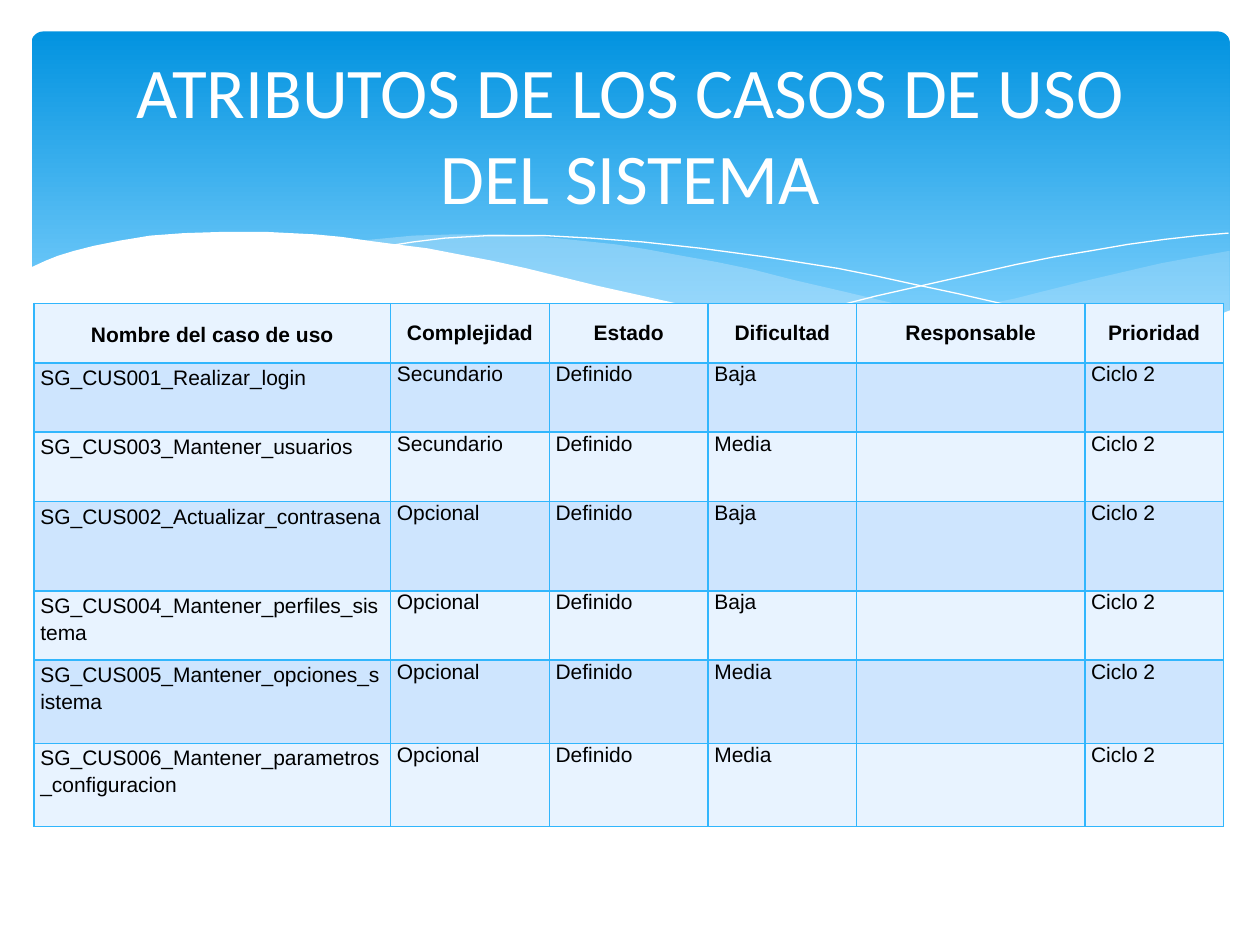
from lxml.etree import SubElement
from pptx import Presentation
from pptx.dml.color import RGBColor
from pptx.enum.shapes import MSO_SHAPE
from pptx.enum.text import MSO_ANCHOR, MSO_AUTO_SIZE, PP_ALIGN
from pptx.oxml.ns import qn
from pptx.util import Inches, Pt

WHITE = RGBColor(0xFF, 0xFF, 0xFF)
BLACK = RGBColor(0x00, 0x00, 0x00)
DEEP_BLUE = RGBColor(0x02, 0x93, 0xE0)
SKY_BLUE = RGBColor(0x83, 0xD3, 0xFE)
PALE_BLUE = RGBColor(0xC6, 0xE7, 0xFC)
BORDER_BLUE = RGBColor(0x31, 0xB6, 0xFD)
LIGHT_ROW = RGBColor(0xE8, 0xF3, 0xFF)
DARK_ROW = RGBColor(0xCE, 0xE5, 0xFE)

# Wave outlines, in inches
RIGHT_WAVE = [
    (9.76, 1.99), (9.48, 2.04), (9.21, 2.09), (8.91, 2.16), (8.61, 2.23),
    (8.05, 2.37), (7.53, 2.48), (7.06, 2.57), (6.61, 2.65), (6.91, 2.69),
    (7.18, 2.72), (7.45, 2.75), (7.69, 2.77), (8.03, 2.78), (8.35, 2.77),
    (8.63, 2.75), (8.89, 2.72), (9.13, 2.67), (9.35, 2.61), (9.63, 2.52),
    (9.76, 2.47)]
MIDDLE_WAVE = [
    (8.93, 2.73), (8.66, 2.69), (8.37, 2.65), (8.07, 2.6), (7.75, 2.54),
    (7.41, 2.48), (7.06, 2.4), (6.68, 2.31), (6.29, 2.22), (5.98, 2.14),
    (5.69, 2.08), (5.41, 2.03), (5.14, 1.98), (4.89, 1.94), (4.42, 1.89),
    (3.99, 1.86), (3.61, 1.86), (3.28, 1.87), (2.86, 1.91), (3.23, 1.96),
    (3.62, 2.03), (4.04, 2.11), (4.49, 2.22), (4.91, 2.32), (5.3, 2.4),
    (5.66, 2.48), (6.01, 2.55), (6.34, 2.61), (6.65, 2.66), (6.95, 2.7),
    (7.22, 2.74), (7.48, 2.76), (7.85, 2.78), (8.28, 2.78), (8.57, 2.77)]
FALLING_LINE = [
    (3.09, 1.95), (3.28, 1.92), (3.53, 1.89), (3.87, 1.87), (4.33, 1.87),
    (4.69, 1.89), (5.1, 1.92), (5.56, 1.97), (6.08, 2.04), (6.65, 2.13),
    (6.95, 2.19), (7.27, 2.26), (7.6, 2.33), (7.95, 2.41), (8.31, 2.51),
    (8.68, 2.61), (9.07, 2.72)]
RISING_LINE = [
    (6.13, 2.57), (6.52, 2.46), (6.95, 2.35), (7.48, 2.23), (8.06, 2.1),
    (8.36, 2.04), (8.66, 1.99), (8.95, 1.94), (9.24, 1.9), (9.51, 1.87),
    (9.75, 1.85)]
WHITE_WAVE = [
    (9.77, 2.46), (9.59, 2.53), (9.4, 2.59), (9.2, 2.65), (8.99, 2.69),
    (8.75, 2.73), (8.5, 2.75), (8.09, 2.77), (7.78, 2.76), (7.44, 2.74),
    (7.08, 2.7), (6.68, 2.65), (6.26, 2.58), (5.79, 2.5), (5.29, 2.39),
    (4.75, 2.27), (4.18, 2.13), (3.91, 2.07), (3.65, 2.02), (3.39, 1.97),
    (3.15, 1.94), (2.92, 1.91), (2.71, 1.88), (2.5, 1.86), (2.11, 1.84),
    (1.77, 1.84), (1.46, 1.85), (1.19, 1.87), (0.95, 1.91), (0.75, 1.95),
    (0.59, 1.99), (0.46, 2.03), (0.36, 2.07), (0.23, 2.13), (0.23, 3.29),
    (9.77, 3.29)]

TITLE = "ATRIBUTOS DE LOS CASOS DE USO DEL SISTEMA"
COLUMN_WIDTHS = [2.83, 1.26, 1.26, 1.18, 1.81, 1.1]
ROW_HEIGHTS = [0.47, 0.55, 0.55, 0.71, 0.55, 0.66, 0.66]
HEADER = ["Nombre del caso de uso", "Complejidad", "Estado", "Dificultad",
          "Responsable", "Prioridad"]
USE_CASES = [
    ("SG_CUS001_Realizar_login", "Secundario", "Baja"),
    ("SG_CUS003_Mantener_usuarios", "Secundario", "Media"),
    ("SG_CUS002_Actualizar_contrasena", "Opcional", "Baja"),
    ("SG_CUS004_Mantener_perfiles_sistema", "Opcional", "Baja"),
    ("SG_CUS005_Mantener_opciones_sistema", "Opcional", "Media"),
    ("SG_CUS006_Mantener_parametros_configuracion", "Opcional", "Media")]


def add_banner(page):
    banner = page.shapes.add_shape(MSO_SHAPE.ROUNDED_RECTANGLE, Inches(0.25),
                                   Inches(0.25), Inches(9.51), Inches(2.7))
    banner.adjustments[0] = 0.034
    banner.shadow.inherit = False
    banner.line.fill.background()
    banner.fill.gradient()
    banner.fill.gradient_angle = 270
    stops = [(0, DEEP_BLUE), (0.9, SKY_BLUE)]
    for stop, (position, color) in zip(banner.fill.gradient_stops, stops):
        stop.position = position
        stop.color.rgb = color


def add_outline(page, points, closed):
    corners = [(Inches(x), Inches(y)) for x, y in points]
    builder = page.shapes.build_freeform(*corners[0])
    builder.add_line_segments(corners[1:], close=closed)
    outline = builder.convert_to_shape()
    outline.shadow.inherit = False
    return outline


def add_wave(page, points, color, opacity=100):
    wave = add_outline(page, points, closed=True)
    wave.line.fill.background()
    wave.fill.solid()
    wave.fill.fore_color.rgb = color
    if opacity < 100:
        tint = wave.fill._xPr.find(".//" + qn("a:srgbClr"))
        SubElement(tint, qn("a:alpha"), val=str(opacity * 1000))


def add_wave_line(page, points):
    curve = add_outline(page, points, closed=False)
    curve.fill.background()
    curve.line.color.rgb = WHITE
    curve.line.width = Pt(0)


def add_title(page):
    title = page.shapes.title
    title.left, title.top = Inches(0.5), Inches(0.37)
    title.width, title.height = Inches(9), Inches(1.37)
    frame = title.text_frame
    frame.text = TITLE
    frame.word_wrap = True
    frame.auto_size = MSO_AUTO_SIZE.NONE
    frame.vertical_anchor = MSO_ANCHOR.MIDDLE
    paragraph = frame.paragraphs[0]
    paragraph.alignment = PP_ALIGN.CENTER
    font = paragraph.runs[0].font
    font.name, font.size = "Calibri", Pt(40.7)
    font.color.rgb = WHITE
    # Bring the title in front of the banner
    page.shapes._spTree.append(title._element)


def set_borders(cell):
    properties = cell._tc.get_or_add_tcPr()
    for side in ("a:lnL", "a:lnR", "a:lnT", "a:lnB"):
        border = SubElement(properties, qn(side), w=str(Pt(1)))
        fill = SubElement(border, qn("a:solidFill"))
        SubElement(fill, qn("a:srgbClr"), val=str(BORDER_BLUE))


def format_cell(cell, text, is_header, is_name, color):
    set_borders(cell)
    cell.fill.solid()
    cell.fill.fore_color.rgb = color
    cell.margin_left = cell.margin_right = Inches(0.05)
    cell.margin_top = cell.margin_bottom = 0
    cell.vertical_anchor = MSO_ANCHOR.MIDDLE if is_header else MSO_ANCHOR.TOP
    if not text:
        return
    cell.text_frame.text = text
    paragraph = cell.text_frame.paragraphs[0]
    paragraph.alignment = PP_ALIGN.CENTER if is_header else PP_ALIGN.LEFT
    if is_name:
        paragraph.line_spacing = 1.15
        if is_header:
            paragraph.space_after = Pt(10)
    font = paragraph.runs[0].font
    font.name, font.size, font.bold = "Arial", Pt(12), is_header
    font.color.rgb = BLACK


def add_use_case_table(page):
    rows = [HEADER] + [[name, complexity, "Definido", difficulty, "", "Ciclo 2"]
                       for name, complexity, difficulty in USE_CASES]
    table = page.shapes.add_table(len(rows), len(HEADER), Inches(0.27), Inches(2.41),
                                  Inches(9.45), Inches(4.16)).table
    table.first_row = table.horz_banding = False
    for column, width in zip(table.columns, COLUMN_WIDTHS):
        column.width = Inches(width)
    for row, height in zip(table.rows, ROW_HEIGHTS):
        row.height = Inches(height)
    for i, values in enumerate(rows):
        color = DARK_ROW if i % 2 else LIGHT_ROW
        for j, text in enumerate(values):
            format_cell(table.cell(i, j), text, i == 0, j == 0, color)


def main():
    deck = Presentation()
    deck.slide_width, deck.slide_height = Inches(10), Inches(7.5)
    page = deck.slides.add_slide(deck.slide_layouts[5])
    # Banner with its waves
    add_banner(page)
    add_wave(page, RIGHT_WAVE, PALE_BLUE, 29)
    add_wave(page, MIDDLE_WAVE, PALE_BLUE, 40)
    add_wave_line(page, FALLING_LINE)
    add_wave_line(page, RISING_LINE)
    add_wave(page, WHITE_WAVE, WHITE)
    # Content
    add_title(page)
    add_use_case_table(page)
    deck.save("out.pptx")


if __name__ == "__main__":
    main()
